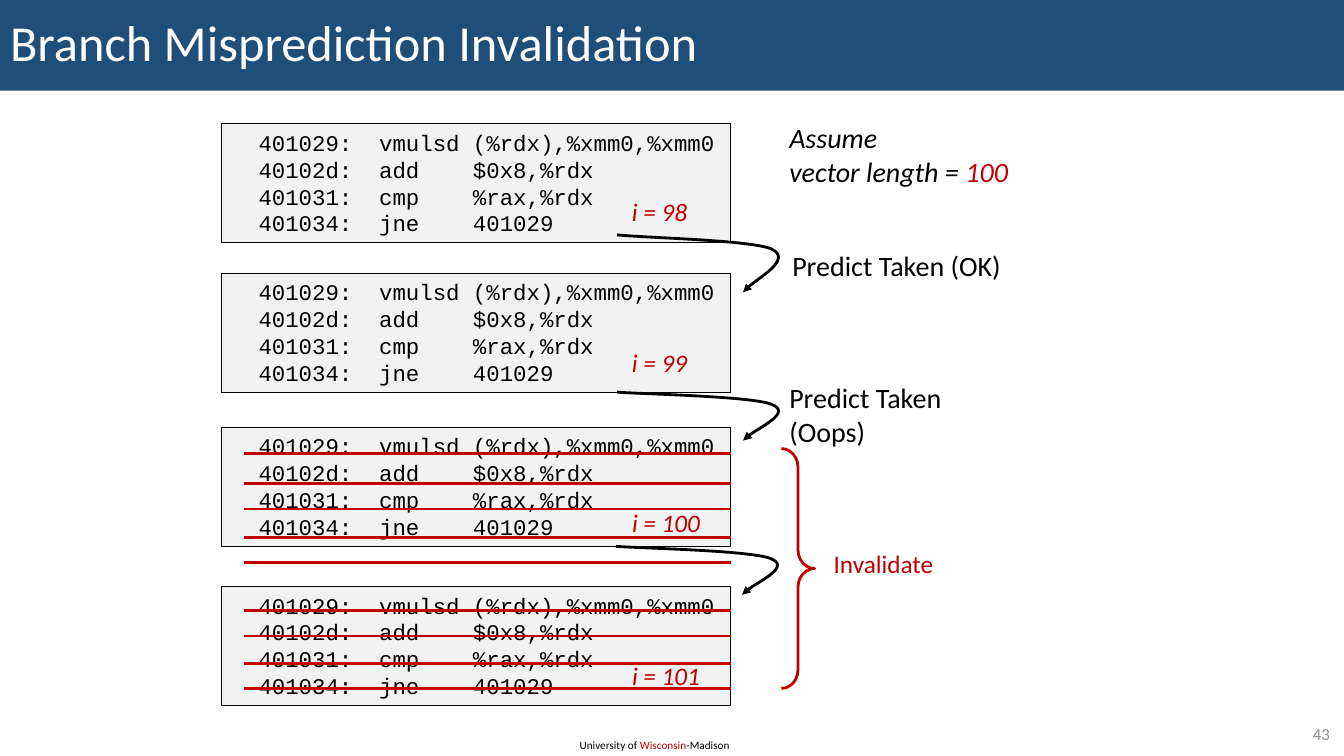
from lxml import etree
from pptx import Presentation
from pptx.dml.color import RGBColor
from pptx.enum.shapes import MSO_CONNECTOR, MSO_SHAPE
from pptx.enum.text import MSO_ANCHOR, MSO_AUTO_SIZE, PP_ALIGN
from pptx.oxml.ns import qn
from pptx.util import Pt

PX = 9144  # EMU per px, 100 px to the inch
RECTANGLE, BRACE = MSO_SHAPE.RECTANGLE, MSO_SHAPE.RIGHT_BRACE
STRAIGHT = MSO_CONNECTOR.STRAIGHT
TOP, MIDDLE = MSO_ANCHOR.TOP, MSO_ANCHOR.MIDDLE
LEFT, RIGHT = PP_ALIGN.LEFT, PP_ALIGN.RIGHT
FIT_SHAPE, NO_FIT = MSO_AUTO_SIZE.SHAPE_TO_FIT_TEXT, MSO_AUTO_SIZE.NONE

COLORS = {
    "black": "000000",
    "white": "FFFFFF",
    "red": "C00000",
    "navy": "1F4E79",
    "panel": "F2F2F2",
    "gray": "8C8C8C",
}


def color(name):
    return RGBColor.from_string(COLORS[name])


def write(box, paras, size, font="Calibri", italic=False, align=LEFT,
          anchor=TOP, wrap=False, fit=FIT_SHAPE):
    """Fill a box with paragraphs, each a list of (text, color name) spans."""
    frame = box.text_frame
    frame.word_wrap = wrap
    frame.auto_size = fit
    frame.vertical_anchor = anchor
    for index, spans in enumerate(paras):
        para = frame.add_paragraph() if index else frame.paragraphs[0]
        para.alignment = align
        for text, ink in spans:
            span = para.add_run()
            span.text = text
            span.font.name = font
            span.font.size = Pt(size)
            span.font.italic = italic
            span.font.color.rgb = color(ink)


deck = Presentation()
deck.slide_width, deck.slide_height = 1333 * PX, 750 * PX
page = deck.slides.add_slide(deck.slide_layouts[5])
shapes = page.shapes

# Title band
title = shapes.title
title.left, title.top, title.width, title.height = 0, 0, 1333 * PX, 90 * PX
title.fill.solid()
title.fill.fore_color.rgb = color("navy")
write(title, [[("Branch Misprediction Invalidation", "white")]], 36,
      anchor=MIDDLE, wrap=True, fit=NO_FIT)
title.text_frame.paragraphs[0].line_spacing = 0.9

# One code panel per loop iteration
CODE = [
    "  401029:  vmulsd (%rdx),%xmm0,%xmm0",
    "  40102d:  add    $0x8,%rdx",
    "  401031:  cmp    %rax,%rdx",
    "  401034:  jne    401029",
]
for top in (123, 271, 424, 582):
    panel = shapes.add_shape(RECTANGLE, 220 * PX, top * PX, 505 * PX, 118 * PX)
    panel.shadow.inherit = False
    panel.fill.solid()
    panel.fill.fore_color.rgb = color("panel")
    panel.line.color.rgb = color("black")
    panel.line.width = Pt(0.75)
    write(panel, [[(line, "black")] for line in CODE], 16, font="Courier New")

# Curved arrows from each jump to the next iteration
ACROSS = (0, 26, 132, 153, 174, 131, 125)
DOWN = (0, 0.05, 0.09, 0.25, 0.42, 0.84, 1)
for left, top, drop in ((612, 233, 57), (612, 389, 48), (611, 542, 48)):
    points = [(left + x, top + round(drop * y)) for x, y in zip(ACROSS, DOWN)]
    builder = shapes.build_freeform(*points[0], scale=PX)
    builder.add_line_segments(points[1:], close=False)
    arrow = builder.convert_to_shape()
    arrow.shadow.inherit = False
    arrow.fill.background()
    arrow.line.color.rgb = color("black")
    arrow.line.width = Pt(2)
    outline = next(arrow.element.iter(qn("a:path")))
    segments = outline.findall(qn("a:lnTo"))
    for first in (0, 3):
        curve = etree.SubElement(outline, qn("a:cubicBezTo"))
        for segment in segments[first:first + 3]:
            curve.append(segment[0])
            outline.remove(segment)
    etree.SubElement(arrow.line._get_or_add_ln(), qn("a:tailEnd"), type="triangle")

# Labels: left, top, width, height, size, italic, paragraphs
LABELS = [
    (617, 190, 76, 40, 18, True, [[("i = 98", "red")]]),
    (617, 340, 76, 40, 18, True, [[("i = 99", "red")]]),
    (617, 498, 89, 40, 18, True, [[("i = 100", "red")]]),
    (617, 650, 89, 40, 18, True, [[("i = 101", "red")]]),
    (773, 115, 243, 77, 20, True,
     [[("Assume", "black")], [("vector length = ", "black"), ("100", "red")]]),
    (776, 242, 234, 44, 20, False, [[("Predict Taken (OK)", "black")]]),
    (773, 373, 176, 77, 20, False,
     [[("Predict Taken", "black")], [("(Oops)", "black")]]),
    (817, 539, 120, 40, 18, False, [[("Invalidate", "red")]]),
    (565, 728, 172, 24, 8, False,
     [[("University of ", "black"), ("Wisconsin", "red"), ("-Madison", "black")]]),
]
for left, top, width, height, size, italic, paras in LABELS:
    label = shapes.add_textbox(left * PX, top * PX, width * PX, height * PX)
    write(label, paras, size, italic=italic)

page_number = shapes.add_textbox(1253 * PX, 713 * PX, 76 * PX, 29 * PX)
write(page_number, [[("43", "gray")]], 12, align=RIGHT, anchor=MIDDLE,
      wrap=True, fit=NO_FIT)

# Strikes through the invalidated instructions
for y in (450, 480, 505, 533, 558, 606, 631, 658, 683):
    strike = shapes.add_connector(STRAIGHT, 242 * PX, y * PX, 725 * PX, y * PX)
    strike.line.color.rgb = color("red")
    strike.line.width = Pt(2)
    etree.SubElement(strike.element.spPr, qn("a:effectLst"))

brace = shapes.add_shape(BRACE, 775 * PX, 445 * PX, 33 * PX, 238 * PX)
brace.shadow.inherit = False
brace.adjustments[0] = 0.56
brace.fill.background()
brace.line.color.rgb = color("red")
brace.line.width = Pt(2)

deck.save("out.pptx")
